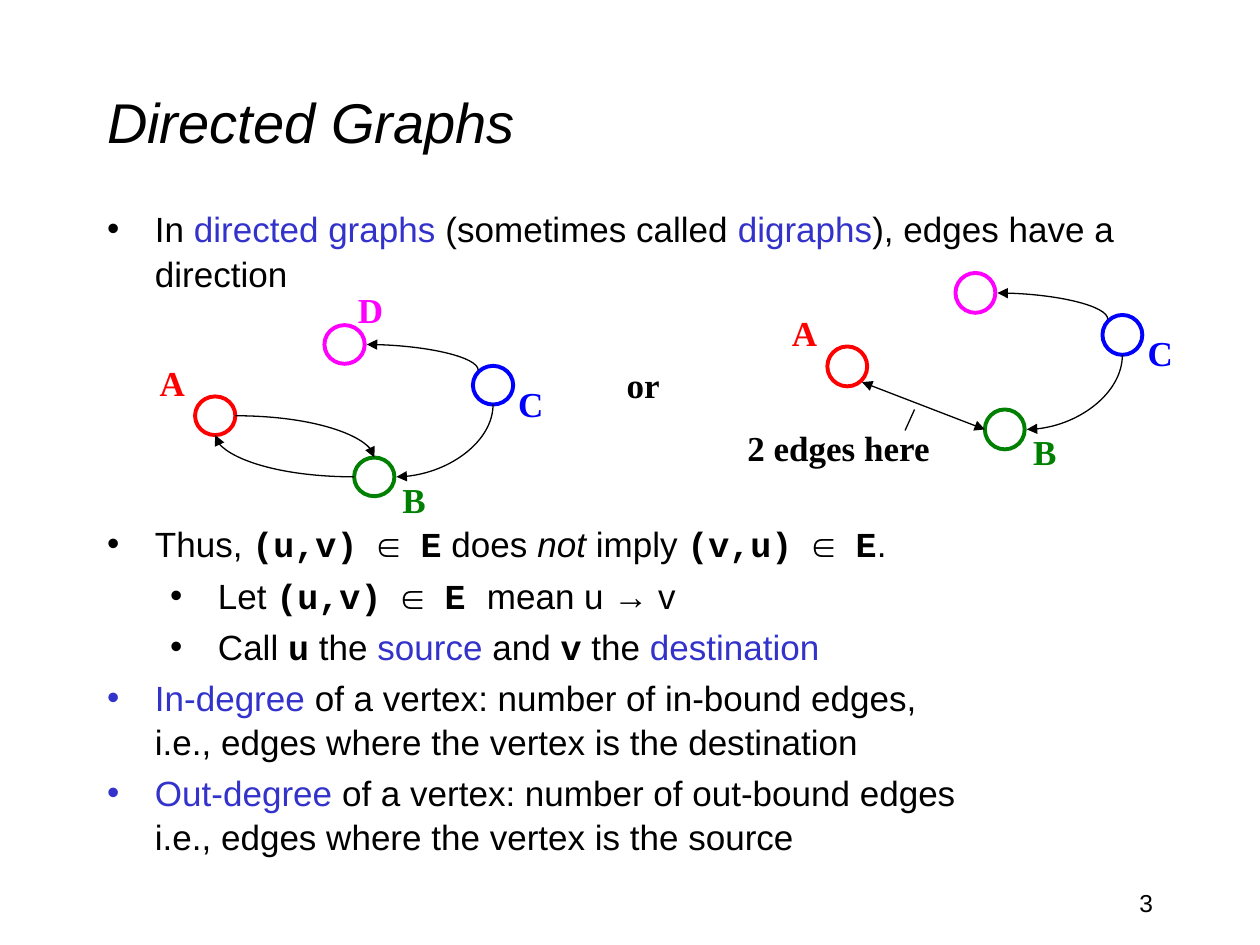
from copy import deepcopy

from lxml.etree import SubElement
from pptx import Presentation
from pptx.dml.color import RGBColor
from pptx.enum.shapes import MSO_CONNECTOR as Connector, MSO_SHAPE as Shape
from pptx.enum.text import MSO_ANCHOR as Anchor, MSO_AUTO_SIZE as AutoSize, PP_ALIGN as Align
from pptx.oxml.ns import qn
from pptx.util import Inches, Pt

COLORS = {"ink": "000000", "paper": "FFFFFF", "term": "3333CC",
          "A": "FF0000", "B": "008000", "C": "0000FF", "D": "FF00FF"}
VERTICES = {"A": (0, 0), "B": (15, 6), "C": (26.2, -3), "D": (12.2, -7)}
LABELS = {"A": (-4.56, -3.9), "B": (3.4, 1.44), "C": (3.12, 0.98), "D": (2, -4.1)}
INTRO = [(0, [("", "In "), ("term", "directed graphs"), ("", " (sometimes called "),
              ("term", "digraphs"), ("", "), edges have a direction")])]
RULES = [
    (0, [("", "Thus, "), ("code", "(u,v) ∈ E"), ("", " does "), ("italic", "not"),
         ("", " imply "), ("code", "(v,u) ∈ E"), ("", ".")]),
    (1, [("", "Let "), ("code", "(u,v) ∈ E "), ("", "mean u → v")]),
    (1, [("", "Call "), ("code", "u"), ("", " the "), ("term", "source"), ("", " and "),
         ("code", "v"), ("", " the "), ("term", "destination")]),
    (0, [("term", "In-degree"), ("", " of a vertex: number of in-bound edges,"), ("break", ""),
         ("", "i.e., edges where the vertex is the destination")]),
    (0, [("term", "Out-degree"), ("", " of a vertex: number of out-bound edges"), ("break", ""),
         ("", "i.e., edges where the vertex is the source")]),
]


class GraphSlide:
    """Holds the style and the slide; lengths are cells of a 120 by 90 grid."""

    sans, serif, mono = "Arial", "Times New Roman", "Courier New"
    text_size = 20

    def __init__(self, presentation):
        self.cell = presentation.slide_width / 120
        self.slide = presentation.slides.add_slide(presentation.slide_layouts[3])
        self.shapes = self.slide.shapes

    def grid(self, *cells):
        return [round(value * self.cell) for value in cells]

    def place(self, shape, box):
        shape.left, shape.top, shape.width, shape.height = self.grid(*box)

    def format(self, font, name, size, color="ink", bold=False, italic=False):
        font.name, font.size, font.bold, font.italic = name, Pt(size), bold, italic
        font.color.rgb = RGBColor.from_string(COLORS[color])

    def title(self, text, box):
        title = self.shapes.title
        self.place(title, box)
        title.text_frame.text = text
        title.text_frame.vertical_anchor = Anchor.MIDDLE
        paragraph = title.text_frame.paragraphs[0]
        paragraph.alignment = Align.LEFT
        self.format(paragraph.runs[0].font, self.sans, 32, italic=True)

    def bullets(self, index, items, box):
        body = self.slide.placeholders[index]
        self.place(body, box)
        frame = body.text_frame
        frame.auto_size = AutoSize.NONE
        for number, (level, runs) in enumerate(items):
            paragraph = frame.add_paragraph() if number else frame.paragraphs[0]
            paragraph.level = level
            paragraph.line_spacing = 1.05
            paragraph.space_before = Pt(4 if number else 0)
            properties = paragraph._p.get_or_add_pPr()
            properties.set("marL", str(Inches(0.38 + 0.5 * level)))
            properties.set("indent", str(-Inches(0.38)))
            SubElement(properties, qn("a:buChar")).set("char", "•")
            for style, text in runs:
                self.add_run(paragraph, style, text)

    def add_run(self, paragraph, style, text):
        if style == "break":
            paragraph.add_line_break()
            paragraph._p[-1].append(deepcopy(paragraph.runs[-1]._r.rPr))
            return
        run = paragraph.add_run()
        run.text = text
        code = style == "code"
        self.format(run.font, self.mono if code else self.sans, self.text_size,
                    "term" if style == "term" else "ink", code, style == "italic")

    def label(self, text, box, color="ink", wrap=False):
        frame = self.shapes.add_textbox(*self.grid(*box)).text_frame
        frame.word_wrap = wrap
        frame.text = text
        self.format(frame.paragraphs[0].runs[0].font, self.serif, self.text_size, color, True)

    def number(self, text, box):
        frame = self.shapes.add_textbox(*self.grid(*box)).text_frame
        frame.word_wrap = True
        frame.text = text
        paragraph = frame.paragraphs[0]
        paragraph.alignment = Align.RIGHT
        self.format(paragraph.runs[0].font, self.sans, 14)

    def vertex(self, name, center, radii):
        (x, y), (rx, ry) = center, radii
        shape = self.shapes.add_shape(Shape.OVAL, *self.grid(x - rx, y - ry, 2 * rx, 2 * ry))
        shape.shadow.inherit = False
        shape.fill.solid()
        shape.fill.fore_color.rgb = RGBColor.from_string(COLORS["paper"])
        shape.line.color.rgb = RGBColor.from_string(COLORS[name])
        shape.line.width = Pt(2.25)

    def edge(self, start, end, arrows=(), curved=False):
        kind = Connector.CURVE if curved else Connector.STRAIGHT
        connector = self.shapes.add_connector(kind, *self.grid(*start, *end))
        connector.line.color.rgb = RGBColor.from_string(COLORS["ink"])
        connector.line.width = Pt(0.75)
        properties = connector._element.spPr
        if curved:
            properties.find(qn("a:prstGeom")).set("prst", "curvedConnector2")
        for arrow in arrows:
            SubElement(properties.find(qn("a:ln")), qn(f"a:{arrow}")).set("type", "triangle")
        SubElement(properties, qn("a:effectLst"))

    def graph(self, origin, scale, names, merged):
        rx, ry = radii = [1.9 * factor for factor in scale]
        centers = {name: [start + offset * factor for start, offset, factor
                          in zip(origin, offsets, scale)]
                   for name, offsets in VERTICES.items()}
        for name, center in centers.items():
            self.vertex(name, center, radii)
        for name in names:
            (x, y), (dx, dy) = centers[name], LABELS[name]
            self.label(name, (x - rx + dx, y - ry + dy, 4.9, 5.1), name)
        (ax, ay), (bx, by), (cx, cy), (dx, dy) = centers.values()
        self.edge((bx + rx + 0.2, by), (cx, cy + ry), ["headEnd"], True)
        self.edge((dx + rx + 0.2, dy), (cx - rx + 0.5, cy - ry + 0.4), ["headEnd"], True)
        if merged:
            self.edge((bx - rx, by), (ax + 1.4, ay + 1.5), ["headEnd", "tailEnd"])
        else:
            self.edge((bx - rx, by), (ax, ay + ry), ["tailEnd"], True)
            self.edge((ax + rx, ay), (bx, by - ry), ["tailEnd"], True)


def main():
    presentation = Presentation()
    presentation.slide_width, presentation.slide_height = Inches(10), Inches(7.5)
    page = GraphSlide(presentation)
    page.title("Directed Graphs", (9, 4, 102, 15))
    page.bullets(1, INTRO, (9, 19, 102, 10))
    page.bullets(2, RULES, (9, 49, 102, 32))
    page.number("3", (86, 84, 25, 6))
    page.label("or", (58.5, 34, 5.6, 5.3))
    page.label("2 edges here", (70, 40, 20.6, 5.3), wrap=True)
    page.edge((86.2, 41), (87.1, 39))
    page.graph((20.5, 39.6), (1.01, 0.97), "ABCD", merged=False)
    page.graph((80.7, 34.9), (1, 1), "ABC", merged=True)
    presentation.save("out.pptx")


if __name__ == "__main__":
    main()
